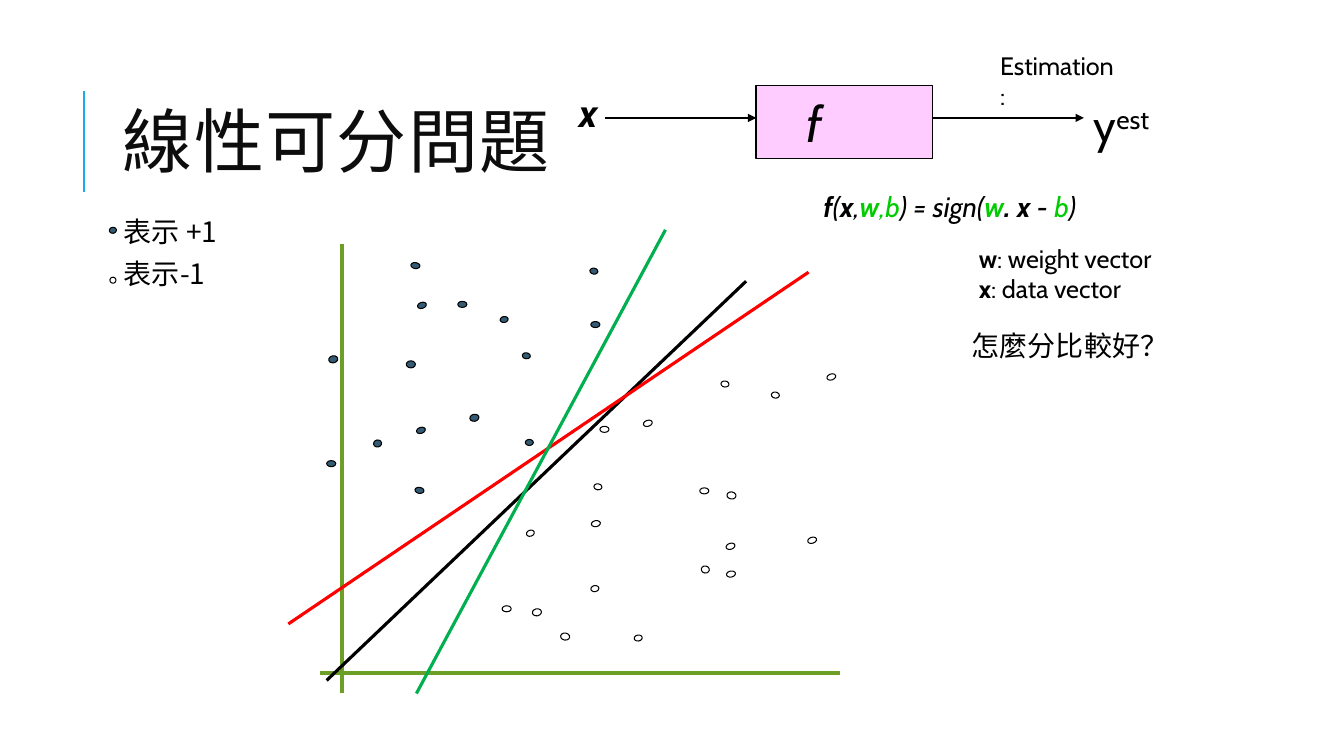
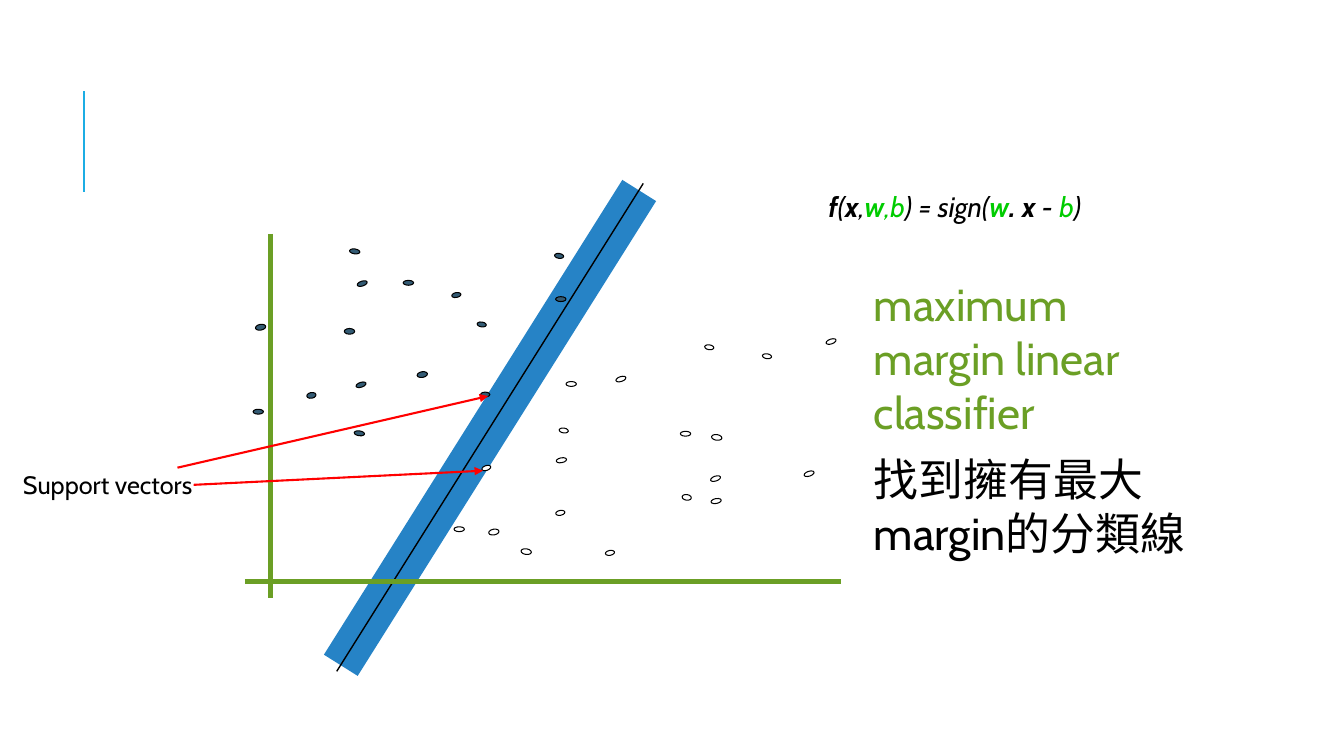
from lxml.etree import SubElement
from pptx import Presentation
from pptx.dml.color import RGBColor
from pptx.enum.shapes import MSO_CONNECTOR, MSO_SHAPE
from pptx.enum.text import MSO_ANCHOR, PP_ALIGN
from pptx.oxml.ns import qn
from pptx.util import Inches, Pt

BLACK = RGBColor(0x00, 0x00, 0x00)
WHITE = RGBColor(0xFF, 0xFF, 0xFF)
TITLE_INK = RGBColor(0x0D, 0x0D, 0x0D)
ACCENT = RGBColor(0x1C, 0xAD, 0xE4)
PINK = RGBColor(0xFF, 0xCC, 0xFF)
POSITIVE = RGBColor(0x33, 0x5B, 0x74)
OLIVE = RGBColor(0x6B, 0x9F, 0x25)
PARAMETER = RGBColor(0x00, 0xCC, 0x00)
RED = RGBColor(0xFF, 0x00, 0x00)
GREEN = RGBColor(0x00, 0xB0, 0x50)
BAND_BLUE = RGBColor(0x26, 0x83, 0xC6)

LATIN = "Cabin"
CJK = "Noto Sans CJK SC"

FORMULA = [
    ("f", True, BLACK), ("(", False, BLACK), ("x", True, BLACK), (",", False, BLACK),
    ("w", True, PARAMETER), (",b", False, PARAMETER), (") = sign(", False, BLACK),
    ("w", True, PARAMETER), (". x ", True, BLACK), ("- ", False, BLACK),
    ("b", False, PARAMETER), (")", False, BLACK),
]
VECTOR_KEY = [("w", ": weight vector"), ("x", ": data vector")]

POSITIVE_DOTS = {
    0: [(3.24, 4.57, 0.09, 0.06), (5.86, 3.19, 0.09, 0.06), (4.54, 2.99, 0.09, 0.06),
        (5.21, 4.36, 0.08, 0.06), (4.03, 3.58, 0.09, 0.07)],
    341.4: [(4.14, 3, 0.09, 0.06), (4.13, 4.24, 0.09, 0.06)],
    98.3: [(5.19, 3.49, 0.06, 0.08), (4.13, 4.82, 0.06, 0.09), (5.86, 2.65, 0.06, 0.08),
           (4.09, 2.59, 0.06, 0.09)],
    79.6: [(4.67, 4.1, 0.07, 0.09), (3.71, 4.36, 0.07, 0.08), (4.97, 3.13, 0.06, 0.08),
           (3.27, 3.52, 0.07, 0.09)],
}
NEGATIVE_DOTS = {
    0: [(4.98, 6.01, 0.09, 0.06), (5.95, 4.23, 0.09, 0.06), (6.94, 4.84, 0.09, 0.06)],
    341.4: [(5.22, 5.26, 0.08, 0.06), (8.2, 3.71, 0.09, 0.06), (7.2, 5.39, 0.09, 0.06),
            (6.38, 4.17, 0.09, 0.06), (8.01, 5.33, 0.09, 0.06)],
    98.3: [(5.57, 6.27, 0.07, 0.09), (7.22, 4.87, 0.07, 0.09), (5.9, 4.79, 0.06, 0.08),
           (7.66, 3.88, 0.06, 0.08), (7.16, 3.77, 0.06, 0.08), (6.96, 5.61, 0.07, 0.08)],
    79.6: [(6.3, 6.29, 0.06, 0.08), (5.87, 5.8, 0.06, 0.08), (5.88, 5.15, 0.06, 0.09),
           (5.29, 6.03, 0.07, 0.09), (7.22, 5.65, 0.06, 0.09)],
}
BASE_PLOT = (3.17, 2.42, 5.16, 4.46)
MARGIN_PLOT = (2.43, 2.32, 5.91, 3.61)
AXIS_X, AXIS_Y = 3.39, 6.68

SEPARATORS = [
    ((3.24, 6.75), (7.4, 2.79), BLACK),
    ((2.86, 6.19), (8.02, 2.7), RED),
    ((4.13, 6.88), (6.6, 2.28), GREEN),
]
MARGIN_LINES = [
    ((3.38, 6.6), (6.34, 1.89), BAND_BLUE, 28.5),
    ((3.34, 6.66), (6.38, 1.82), BLACK, 1),
]
FLOW_ARROWS = [((6, 1.17), (7.5, 1.17)), ((9.25, 1.17), (10.75, 1.17))]
SUPPORT_ARROWS = [((1.76, 4.64), (4.84, 3.93)), ((1.92, 4.81), (4.79, 4.67))]


def add_line(slide, start, end, color, width, arrow=False):
    line = slide.shapes.add_connector(
        MSO_CONNECTOR.STRAIGHT, *(Inches(value) for value in (*start, *end)))
    line.line.color.rgb = color
    line.line.width = Pt(width)
    if arrow:
        SubElement(line.line._get_or_add_ln(), qn("a:tailEnd"), type="triangle")
    SubElement(line._element.spPr, qn("a:effectLst"))


def add_preset(slide, preset, box, fill, line_width):
    shape = slide.shapes.add_shape(preset, *(Inches(value) for value in box))
    shape.shadow.inherit = False
    shape.fill.solid()
    shape.fill.fore_color.rgb = fill
    shape.line.color.rgb = BLACK
    shape.line.width = Pt(line_width)
    return shape


def style(paragraph, size, color=BLACK, font=LATIN, bold=None, italic=None):
    paragraph.font.size = Pt(size)
    paragraph.font.name = font
    paragraph.font.color.rgb = color
    paragraph.font.bold = bold
    paragraph.font.italic = italic
    properties = paragraph._p.pPr.find(qn("a:defRPr"))
    SubElement(properties, qn("a:ea"), typeface=CJK)
    return properties


def add_text(slide, box, lines, size, gap=0, align=PP_ALIGN.LEFT, **look):
    frame = slide.shapes.add_textbox(*(Inches(value) for value in box)).text_frame
    frame.word_wrap = True
    for index, line in enumerate(lines):
        paragraph = frame.paragraphs[0] if index == 0 else frame.add_paragraph()
        paragraph.alignment = align
        if index:
            paragraph.space_before = Pt(gap)
        if line:
            paragraph.add_run().text = line
        style(paragraph, size, **look)
    return frame


def add_formula(slide, left):
    frame = add_text(slide, (left, 1.83, 3.5, 0.43), [""], 20,
                     align=PP_ALIGN.CENTER, italic=True)
    for text, bold, color in FORMULA:
        run = frame.paragraphs[0].add_run()
        run.text = text
        run.font.bold = bold
        run.font.color.rgb = color


def add_dot(slide, box, tilt, fill):
    add_preset(slide, MSO_SHAPE.OVAL, box, fill, 0.75).rotation = tilt


def add_plot(slide, plot):
    left, top, width, height = plot
    base_left, base_top, base_width, base_height = BASE_PLOT
    scale_x, scale_y = width / base_width, height / base_height

    def place(x, y):
        return left + (x - base_left) * scale_x, top + (y - base_top) * scale_y

    axis_x, axis_y = place(AXIS_X, AXIS_Y)
    add_line(slide, (axis_x, top), (axis_x, top + height), OLIVE, 3)
    add_line(slide, (left, axis_y), (left + width, axis_y), OLIVE, 3)
    for dots, fill in ((NEGATIVE_DOTS, WHITE), (POSITIVE_DOTS, POSITIVE)):
        for tilt, boxes in dots.items():
            sideways = 45 < tilt < 135
            stretch_w, stretch_h = (scale_y, scale_x) if sideways else (scale_x, scale_y)
            for x, y, w, h in boxes:
                center_x, center_y = place(x + w / 2, y + h / 2)
                w, h = w * stretch_w, h * stretch_h
                add_dot(slide, (center_x - w / 2, center_y - h / 2, w, h), tilt, fill)


def add_slide(deck):
    slide = deck.slides.add_slide(deck.slide_layouts[6])
    add_line(slide, (0.83, 1.9), (0.83, 0.9), ACCENT, 1.5)
    return slide


def build_separable(deck):
    slide = add_slide(deck)
    function_box = add_preset(slide, MSO_SHAPE.RECTANGLE, (7.5, 0.85, 1.75, 0.72), PINK, 1)
    function_frame = function_box.text_frame
    function_frame.margin_right = Inches(0.7)
    function_frame.vertical_anchor = MSO_ANCHOR.MIDDLE
    function_name = function_frame.paragraphs[0]
    function_name.alignment = PP_ALIGN.CENTER
    function_name.add_run().text = "f"
    style(function_name, 36, italic=True)

    for start, end in FLOW_ARROWS:
        add_line(slide, start, end, BLACK, 1, arrow=True)
    add_text(slide, (5.5, 0.83, 0.67, 0.57), ["x"], 28,
             align=PP_ALIGN.CENTER, bold=True, italic=True)
    estimate = add_text(slide, (10.75, 0.92, 0.92, 0.63), ["y"], 32).paragraphs[0]
    superscript = estimate.add_run()
    superscript.text = "est"
    superscript._r.get_or_add_rPr().set("baseline", "30000")

    legend = add_text(slide, (1.01, 2.08, 1.5, 0.93), ["表示 +1", "表示-1"], 20, gap=6, font=CJK)
    legend.margin_left = Inches(0.22)
    add_dot(slide, (1.09, 2.25, 0.06, 0.07), 79.6, POSITIVE)
    add_dot(slide, (1.09, 2.75, 0.06, 0.06), 98.3, WHITE)
    add_plot(slide, BASE_PLOT)

    add_formula(slide, 7.67)
    add_text(slide, (9.54, 3.21, 2.42, 0.44), ["怎麼分比較好？"], 20, font=CJK)
    add_text(slide, (9.82, 0.45, 1.36, 0.4), ["Estimation:"], 18)
    vectors = add_text(slide, (9.61, 2.36, 2.2, 0.71), [symbol for symbol, _ in VECTOR_KEY], 18)
    for paragraph, (_, meaning) in zip(vectors.paragraphs, VECTOR_KEY):
        paragraph.runs[0].font.bold = True
        paragraph.add_run().text = meaning

    title = add_text(slide, (1.12, 0.64, 10.63, 1.64), ["線性可分問題"], 50,
                     color=TITLE_INK, font="Calibri")
    title.vertical_anchor = MSO_ANCHOR.MIDDLE
    title.paragraphs[0].line_spacing = 0.8
    title.paragraphs[0]._p.pPr.find(qn("a:defRPr")).set("spc", "100")
    for start, end, color in SEPARATORS:
        add_line(slide, start, end, color, 2.25)


def build_margin(deck):
    slide = add_slide(deck)
    for start, end, color, width in MARGIN_LINES:
        add_line(slide, start, end, color, width)
    add_plot(slide, MARGIN_PLOT)
    add_formula(slide, 7.72)
    summary = add_text(
        slide, (8.57, 2.7, 3.5, 2.52),
        ["maximum margin linear classifier", "找到擁有最大margin的分類線"], 32, gap=9.6)
    summary.paragraphs[0].font.color.rgb = OLIVE
    for start, end in SUPPORT_ARROWS:
        add_line(slide, start, end, RED, 1.5, arrow=True)
    add_text(slide, (0.13, 4.61, 2, 0.4), ["Support vectors"], 18)


def main():
    deck = Presentation()
    deck.slide_width, deck.slide_height = Inches(13.33), Inches(7.5)
    build_separable(deck)
    build_margin(deck)
    deck.save("out.pptx")


if __name__ == "__main__":
    main()
